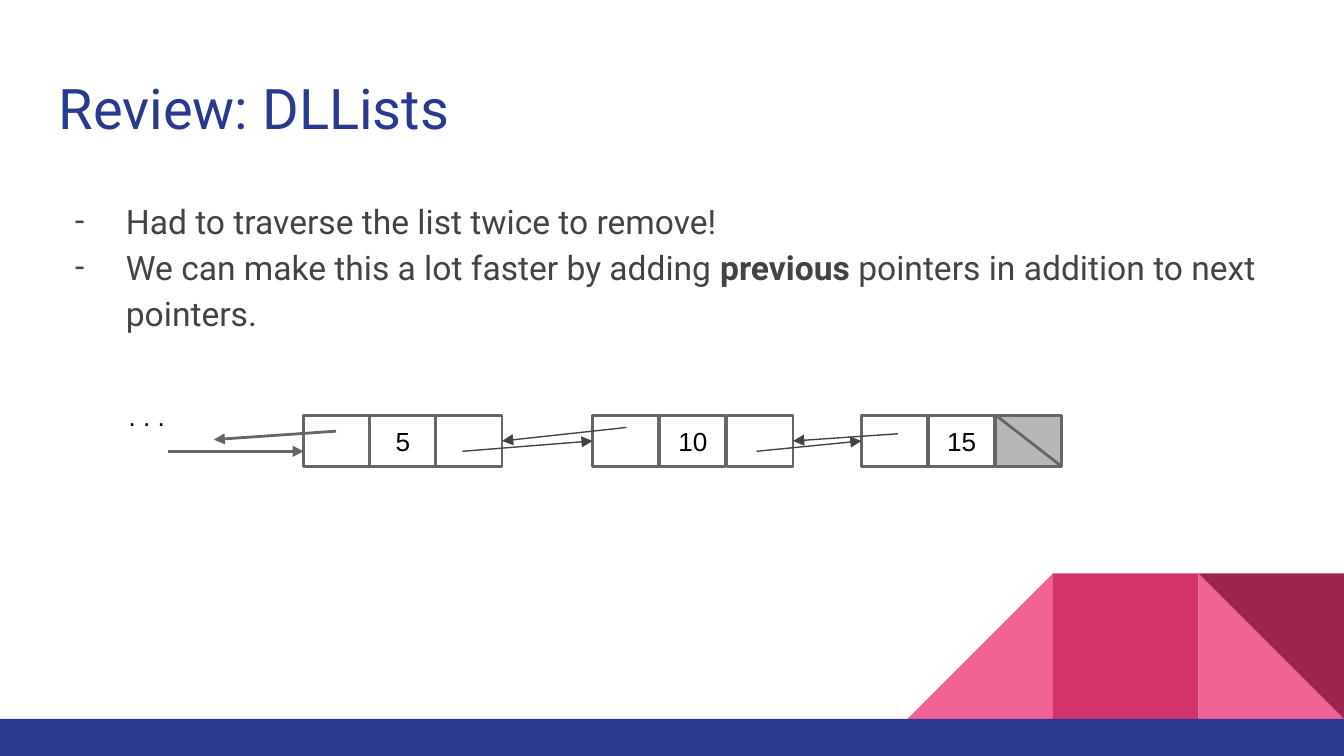
from lxml.etree import SubElement
from pptx import Presentation
from pptx.dml.color import RGBColor
from pptx.enum.shapes import MSO_CONNECTOR, MSO_SHAPE
from pptx.enum.text import MSO_ANCHOR, PP_ALIGN
from pptx.oxml.ns import qn
from pptx.util import Cm, Pt

NAVY, PINK, ROSE, WINE = "2A3990", "F06292", "D23369", "9C254D"
BLACK, DARK, GRAY, SILVER = "000000", "434343", "666666", "B7B7B7"
RIGHT_SIDE, LEFT_SIDE = 3, 1


def color(hex_code):
    return RGBColor.from_string(hex_code)


class SlideBuilder:
    """Holds the current slide and the shared text style."""

    inset = Cm(0.25)
    label_style = {"name": "Arial", "size": Pt(14)}
    title_style = {"name": "Roboto", "size": Pt(30)}
    body_style = {"name": "Roboto", "size": Pt(18)}

    def __init__(self, slide):
        self.slide = slide

    def add_span(self, para, text, style, ink, **extra):
        span = para.add_run()
        span.text = text
        for name, value in {**style, **extra}.items():
            setattr(span.font, name, value)
        span.font.color.rgb = color(ink)

    def prepare(self, frame, anchor):
        settings = {"word_wrap": True, "vertical_anchor": anchor}
        for side in ("left", "top", "right", "bottom"):
            settings[f"margin_{side}"] = self.inset
        for name, value in settings.items():
            setattr(frame, name, value)

    def shape(self, kind, left, top, width, height, fill=None, line=None):
        shape = self.slide.shapes.add_shape(
            kind, Cm(left), Cm(top), Cm(width), Cm(height))
        shape.shadow.inherit = False
        if fill:
            shape.fill.solid()
            shape.fill.fore_color.rgb = color(fill)
        else:
            shape.fill.background()
        if line:
            shape.line.color.rgb = color(line)
            shape.line.width = Pt(1.5)
        else:
            shape.line.fill.background()
        return shape

    def cell(self, left, text="", fill=None):
        box = self.shape(MSO_SHAPE.RECTANGLE, left, CELL_TOP, CELL_WIDTH,
                         CELL_HEIGHT, fill, GRAY)
        if text:
            self.prepare(box.text_frame, MSO_ANCHOR.MIDDLE)
            para = box.text_frame.paragraphs[0]
            para.alignment = PP_ALIGN.CENTER
            self.add_span(para, text, self.label_style, BLACK)
        return box

    def text_box(self, left, top, width, height):
        box = self.slide.shapes.add_textbox(
            Cm(left), Cm(top), Cm(width), Cm(height))
        self.prepare(box.text_frame, MSO_ANCHOR.TOP)
        return box.text_frame

    def bullet(self, para):
        para.line_spacing = 1.15
        properties = para._p.get_or_add_pPr()
        properties.set("marL", str(Cm(1.27)))
        properties.set("indent", str(Cm(-0.96)))
        bullet_color = SubElement(properties, qn("a:buClr"))
        SubElement(bullet_color, qn("a:srgbClr"), val=DARK)
        SubElement(properties, qn("a:buFont"), typeface="Roboto")
        SubElement(properties, qn("a:buChar"), char="-")

    def line(self, start, end, ink=GRAY, width=1.5, arrow=True):
        connector = self.slide.shapes.add_connector(
            MSO_CONNECTOR.STRAIGHT, *map(Cm, start + end))
        connector.line.color.rgb = color(ink)
        connector.line.width = Pt(width)
        properties = connector._element.spPr
        if arrow:
            SubElement(properties.find(qn("a:ln")), qn("a:tailEnd"),
                       type="triangle")
        SubElement(properties, qn("a:effectLst"))
        return connector

    def pointer(self, start, target, side):
        """Thin arrow from a point to the middle of a cell's side."""
        self.line(start, start, DARK, 0.75).end_connect(target, side)


CELL_TOP, CELL_WIDTH, CELL_HEIGHT = 7.85, 1.25, 0.97
FLOOR, TILE = 13.59, 2.75

deck = Presentation()
deck.slide_width, deck.slide_height = Cm(25.4), Cm(14.29)
page = SlideBuilder(deck.slides.add_slide(deck.slide_layouts[6]))

# Corner decoration and footer bar
tile_lefts = [25.4 - TILE * count for count in (3, 2, 1)]
tiles = [
    (MSO_SHAPE.RIGHT_TRIANGLE, tile_lefts[2], PINK, 0, False),
    (MSO_SHAPE.RIGHT_TRIANGLE, tile_lefts[0], PINK, 0, True),
    (MSO_SHAPE.RECTANGLE, tile_lefts[1], ROSE, 0, False),
    (MSO_SHAPE.RIGHT_TRIANGLE, tile_lefts[2], WINE, 180, False),
]
for kind, left, fill, rotation, flipped in tiles:
    tile = page.shape(kind, left, FLOOR - TILE, TILE, TILE, fill)
    tile.rotation = rotation
    if flipped:
        tile._element.spPr.xfrm.set("flipH", "1")
page.shape(MSO_SHAPE.RECTANGLE, 0, FLOOR, 25.4, 0.7, NAVY)

# Title
title = page.text_box(0.86, 1.14, 23.67, 1.68)
page.add_span(title.paragraphs[0], "Review: DLLists", page.title_style, NAVY)

# List nodes: previous, value and next cells
nodes = []
for left, step, value, end_fill in [
        (5.74, 1.25, "5", None),
        (11.2, 1.27, "10", None),
        (16.28, 1.27, "15", SILVER)]:
    nodes.append([page.cell(left), page.cell(left + step, value),
                  page.cell(left + 2 * step, fill=end_fill)])
first, second, third = nodes

# Pointers
page.line((3.18, 8.53), (5.74, 8.53))
page.line((6.35, 8.15), (4.04, 8.31))
page.pointer((8.74, 8.53), second[0], LEFT_SIDE)
page.pointer((14.3, 8.53), third[0], LEFT_SIDE)
page.pointer((11.84, 8.08), first[2], RIGHT_SIDE)
page.pointer((16.97, 8.2), second[2], RIGHT_SIDE)
page.line((18.82, CELL_TOP), (18.82 + CELL_WIDTH, CELL_TOP + CELL_HEIGHT),
          arrow=False)
dots = page.text_box(2.18, 7.32, 1.4, 1.22)
page.add_span(dots.paragraphs[0], ". . .", page.label_style, BLACK)

# Body: each point is a list of (text, bold) spans
points = [
    [("Had to traverse the list twice to remove!", False)],
    [("We can make this a lot faster by adding ", False),
     ("previous", True),
     (" pointers in addition to next pointers.", False)],
]
body = page.text_box(0.86, 3.43, 23.67, 3.35)
for index, spans in enumerate(points):
    para = body.add_paragraph() if index else body.paragraphs[0]
    page.bullet(para)
    for text, bold in spans:
        page.add_span(para, text, page.body_style, DARK, bold=bold)

deck.save("out.pptx")
